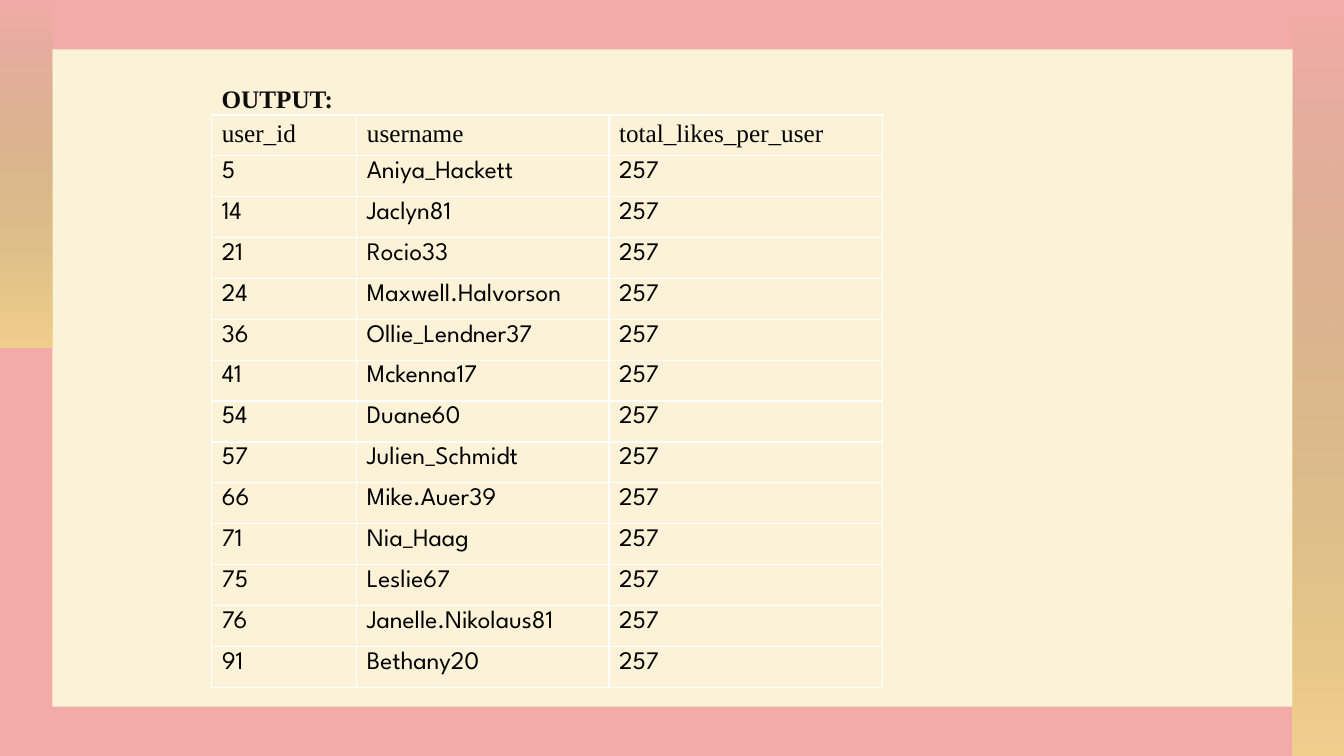
import pptx
import pptx.util
import pptx.dml.color
import pptx.enum.shapes
import pptx.oxml
import pptx.oxml.ns

Inches, Pt = pptx.util.Inches, pptx.util.Pt

TITLE = "OUTPUT:"
HEADS = ("user_id", "username", "total_likes_per_user")
LIKES = "257"
USERS = [
    ("5", "Aniya_Hackett"),
    ("14", "Jaclyn81"),
    ("21", "Rocio33"),
    ("24", "Maxwell.Halvorson"),
    ("36", "Ollie_Lendner37"),
    ("41", "Mckenna17"),
    ("54", "Duane60"),
    ("57", "Julien_Schmidt"),
    ("66", "Mike.Auer39"),
    ("71", "Nia_Haag"),
    ("75", "Leslie67"),
    ("76", "Janelle.Nikolaus81"),
    ("91", "Bethany20"),
]
COLORS = {"back": "F2ABA9", "panel": "FBF2D7", "green": "81BB42",
          "gold": "F2D986", "title": "0D0D0D", "text": "000000",
          "grid": "FFFFFF"}
SERIF, SANS = "Times New Roman", "League Spartan"
PANEL = (0.52, 0.49, 12.3, 6.52)
BARS = [(0, 0, 0.52, 3.45), (12.82, 0.05, 0.51, 7.45)]
FADE = [("green", 0), ("gold", 80)]  # colour, percent opaque
LEFT, TOP, HIGH = 2.1, 1.14, 5.68
WIDTHS = (1.44, 2.5, 2.71)


def color(name):
    return pptx.dml.color.RGBColor.from_string(COLORS[name])


def add_rect(slide, box):
    shape = slide.shapes.add_shape(
        pptx.enum.shapes.MSO_SHAPE.RECTANGLE, *map(Inches, box))
    shape.shadow.inherit = False
    shape.line.fill.background()
    return shape


def add_bar(slide, box):
    """Add a side bar that fades in from top to bottom."""
    fill = add_rect(slide, box).fill
    fill.gradient()
    fill.gradient_angle = 270
    for index, (name, alpha) in enumerate(FADE):
        stop = fill.gradient_stops[index]
        stop.position = index
        stop.color.rgb = color(name)
    tags = fill._xPr.iter(pptx.oxml.ns.qn("a:srgbClr"))
    for tag, (name, alpha) in zip(tags, FADE):
        tag.append(pptx.oxml.parse_xml(
            f'<a:alpha {pptx.oxml.ns.nsdecls("a")} val="{alpha * 1000}"/>'))


def add_text(frame, text, face, name, bold=False):
    run = frame.paragraphs[0].add_run()
    run.text = text
    run.font.name = face
    run.font.size = Pt(18)
    run.font.bold = bold
    run.font.color.rgb = color(name)


def set_grid(cell):
    """Draw the four cell borders, which must come before the fill."""
    props = cell._tc.get_or_add_tcPr()
    for index, side in enumerate("LRTB"):
        props.insert(index, pptx.oxml.parse_xml(
            f'<a:ln{side} {pptx.oxml.ns.nsdecls("a")} w="{Pt(1)}">'
            f'<a:solidFill><a:srgbClr val="{COLORS["grid"]}"/></a:solidFill>'
            f'</a:ln{side}>'))


def add_users(slide):
    rows = [HEADS] + [(*user, LIKES) for user in USERS]
    table = slide.shapes.add_table(
        len(rows), len(HEADS), Inches(LEFT), Inches(TOP),
        Inches(sum(WIDTHS)), Inches(HIGH)).table
    table.first_row = table.horz_banding = False
    for column, width in zip(table.columns, WIDTHS):
        column.width = Inches(width)
    for y, row in enumerate(rows):
        table.rows[y].height = Inches(HIGH / len(rows))
        for x, text in enumerate(row):
            cell = table.cell(y, x)
            cell.fill.background()
            set_grid(cell)
            add_text(cell.text_frame, text, SANS if y else SERIF, "text")


def main():
    deck = pptx.Presentation()
    deck.slide_width, deck.slide_height = Inches(13.33), Inches(7.5)
    slide = deck.slides.add_slide(deck.slide_layouts[6])
    slide.background.fill.solid()
    slide.background.fill.fore_color.rgb = color("back")
    panel = add_rect(slide, PANEL)
    panel.fill.solid()
    panel.fill.fore_color.rgb = color("panel")
    for box in BARS:
        add_bar(slide, box)
    title = slide.shapes.add_textbox(
        Inches(LEFT), Inches(0.78), Inches(5.33), Inches(0.4))
    title.text_frame.word_wrap = True
    add_text(title.text_frame, TITLE, SERIF, "title", True)
    add_users(slide)
    deck.save("out.pptx")


if __name__ == "__main__":
    main()
